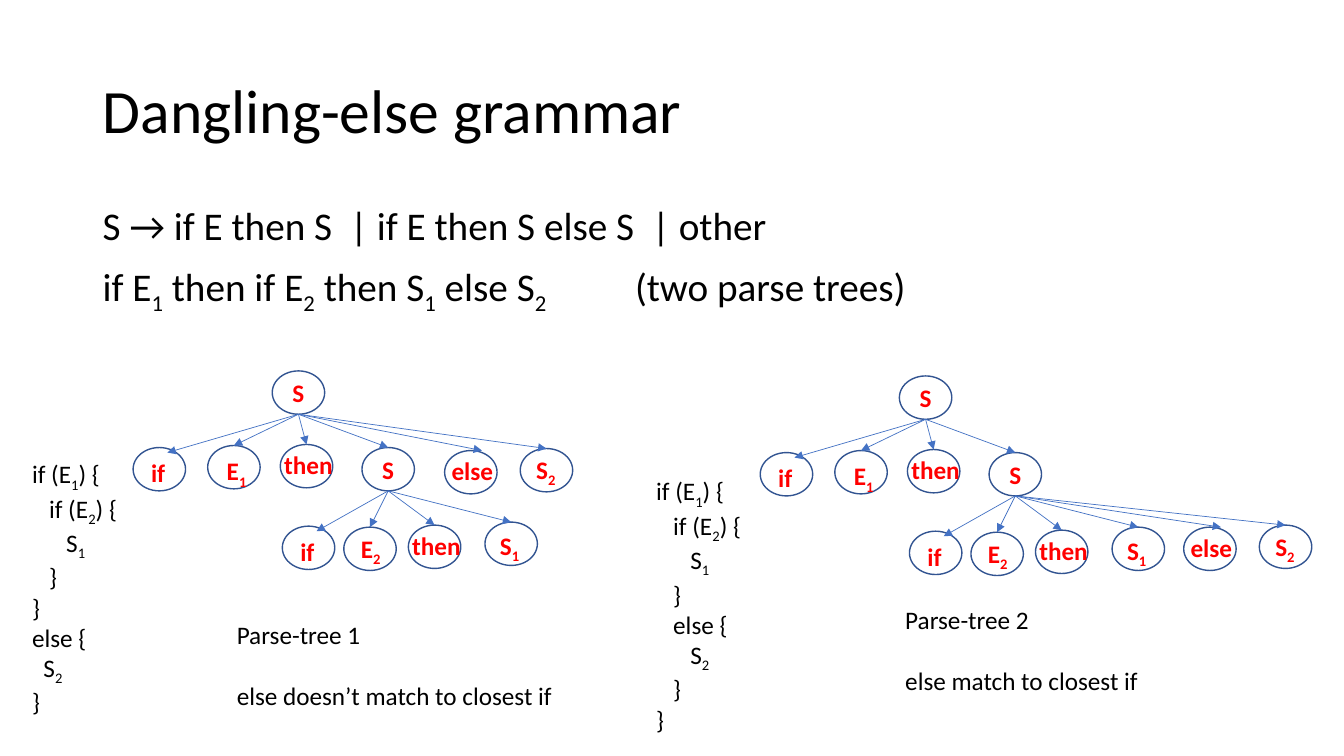
from lxml import etree
from pptx import Presentation
from pptx.dml.color import RGBColor
from pptx.enum.shapes import MSO_CONNECTOR, MSO_SHAPE
from pptx.enum.text import MSO_ANCHOR, PP_ALIGN
from pptx.oxml.ns import qn
from pptx.util import Inches, Pt

LINE = MSO_CONNECTOR.STRAIGHT
OVAL = MSO_SHAPE.OVAL
MIDDLE = MSO_ANCHOR.MIDDLE
LEFT, CENTER = PP_ALIGN.LEFT, PP_ALIGN.CENTER

FONT = "Calibri"
BLACK = RGBColor(0, 0, 0)
RED = RGBColor(0xFF, 0, 0)
NAVY = RGBColor(0x32, 0x54, 0x91)
BLUE = RGBColor(0x44, 0x72, 0xC4)

WIDE, HIGH = 13.33, 7.5
NODE_W, NODE_H = 0.52, 0.43
SIDE, SPAN = 0.92, 11.5

TITLE = "Dangling-else grammar"
RULES = [
    "S → if E then S  | if E then S else S  | other",
    "if E_1 then if E_2 then S_1 else S_2\t(two parse trees)",
]

# word: label shift from its oval, label width, arrow tip from its oval
STYLES = {
    "if": ((0.08, 0.05), 0.52, (0.34, 0.05)),
    "then": ((-0.06, 0), 0.81, (0.26, 0)),
    "else": ((-0.03, 0), 0.81, (0.37, 0)),
    "E_1": ((0.09, 0.05), 0.81, (0.26, 0)),
    "E_2": ((0.07, 0.01), 0.81, (0.26, 0)),
    "S_1": ((0.05, 0.03), 0.81, (0.26, 0)),
    "S_2": ((0.06, 0.01), 0.81, (0.26, 0)),
    "S": (None, 0, (0.26, 0)),
}

OUTER = [("if", -1.38, 0.76), ("E_1", -0.64, 0.74), ("then", 0.08, 0.73)]
INNER = [("if", -0.79, 0.78), ("E_2", -0.18, 0.79),
         ("then", 0.46, 0.77), ("S_1", 1.22, 0.74)]
STEM = ("S", 0.89, 0.76)

TREES = [
    {
        "root": (2.7, 3.68),
        "outer": OUTER + [("else", 1.71, 0.79), ("S_2", 2.46, 0.77)],
        "inner": INNER,
        "note": (2.25, 6.09),
        "words": ["Parse-tree 1", "else doesn’t match to closest if"],
        "place": (0.22, 4.5),
        "code": ["if (E_1) {", "   if (E_2) {", "      S_1", "   }",
                 "}", "else {", "  S_2", "}"],
    },
    {
        "root": (8.92, 3.73),
        "outer": OUTER,
        "inner": INNER + [("else", 1.93, 0.74), ("S_2", 2.68, 0.72)],
        "note": (8.88, 5.95),
        "words": ["Parse-tree 2", "else match to closest if"],
        "place": (6.41, 4.67),
        "code": ["if (E_1) {", "   if (E_2) {", "      S_1", "   }",
                 "   else {", "      S_2", "   }", "}"],
    },
]


def write(frame, lines, size=18, color=BLACK, bold=False, gap=0, lead=None):
    frame.word_wrap = True
    for i, line in enumerate(lines):
        para = frame.paragraphs[0] if i == 0 else frame.add_paragraph()
        if lead:
            para.line_spacing = lead
        if i and gap:
            para.space_before = Pt(gap)
        head, *rest = line.split("_")
        parts = [(head, False)]
        for part in rest:
            parts += [(part[0], True), (part[1:], False)]
        for text, low in parts:
            if not text:
                continue
            run = para.add_run()
            run.text = text
            run.font.name = FONT
            run.font.size = Pt(size)
            run.font.bold = bold
            run.font.color.rgb = color
            if low:
                run._r.get_or_add_rPr().set("baseline", "-25000")


def box(x, y, w, h, lines, **style):
    shape = slide.shapes.add_textbox(Inches(x), Inches(y), Inches(w), Inches(h))
    write(shape.text_frame, lines, **style)
    return shape.text_frame


def arrow(start, end):
    line = slide.shapes.add_connector(LINE, *map(Inches, start + end))
    line.line.color.rgb = BLUE
    line.line.width = Pt(0.5)
    etree.SubElement(line.line._get_or_add_ln(), qn("a:tailEnd"), type="triangle")
    etree.SubElement(line._element.spPr, qn("a:effectLst"))


def node(word, x, y):
    oval = slide.shapes.add_shape(
        OVAL, Inches(x), Inches(y), Inches(NODE_W), Inches(NODE_H))
    oval.shadow.inherit = False
    oval.fill.background()
    oval.line.color.rgb = NAVY
    oval.line.width = Pt(1)
    shift, width, tip = STYLES[word]
    if shift:
        box(x + shift[0], y + shift[1], width, 0.4, [word], color=RED, bold=True)
    else:
        write(oval.text_frame, [word], color=RED, bold=True)
        oval.text_frame.vertical_anchor = MIDDLE
        oval.text_frame.paragraphs[0].alignment = CENTER


def branch(x, y, kids):
    for word, dx, dy in kids:
        node(word, x + dx, y + dy)
        tip = STYLES[word][2]
        arrow((x + NODE_W / 2, y + NODE_H), (x + dx + tip[0], y + dy + tip[1]))


deck = Presentation()
deck.slide_width, deck.slide_height = Inches(WIDE), Inches(HIGH)
slide = deck.slides.add_slide(deck.slide_layouts[5])

title = slide.shapes.title
title.left, title.top = Inches(SIDE), Inches(0.4)
title.width, title.height = Inches(SPAN), Inches(1.45)
write(title.text_frame, [TITLE], size=44, lead=0.9)
title.text_frame.vertical_anchor = MIDDLE
title.text_frame.paragraphs[0].alignment = LEFT

rules = box(SIDE, 2, SPAN, 1.3, RULES, size=28, gap=10, lead=0.9)
tabs = etree.SubElement(rules.paragraphs[1]._p.get_or_add_pPr(), qn("a:tabLst"))
etree.SubElement(tabs, qn("a:tab"), pos=str(Inches(5.28)), algn="l")

for tree in TREES:
    x, y = tree["root"]
    node("S", x, y)
    branch(x, y, tree["outer"] + [STEM])
    branch(x + STEM[1], y + STEM[2], tree["inner"])
    box(*tree["note"], 3.89, 1.01, tree["words"], gap=22)
    box(*tree["place"], 1.97, 2.52, tree["code"])

deck.save("out.pptx")
